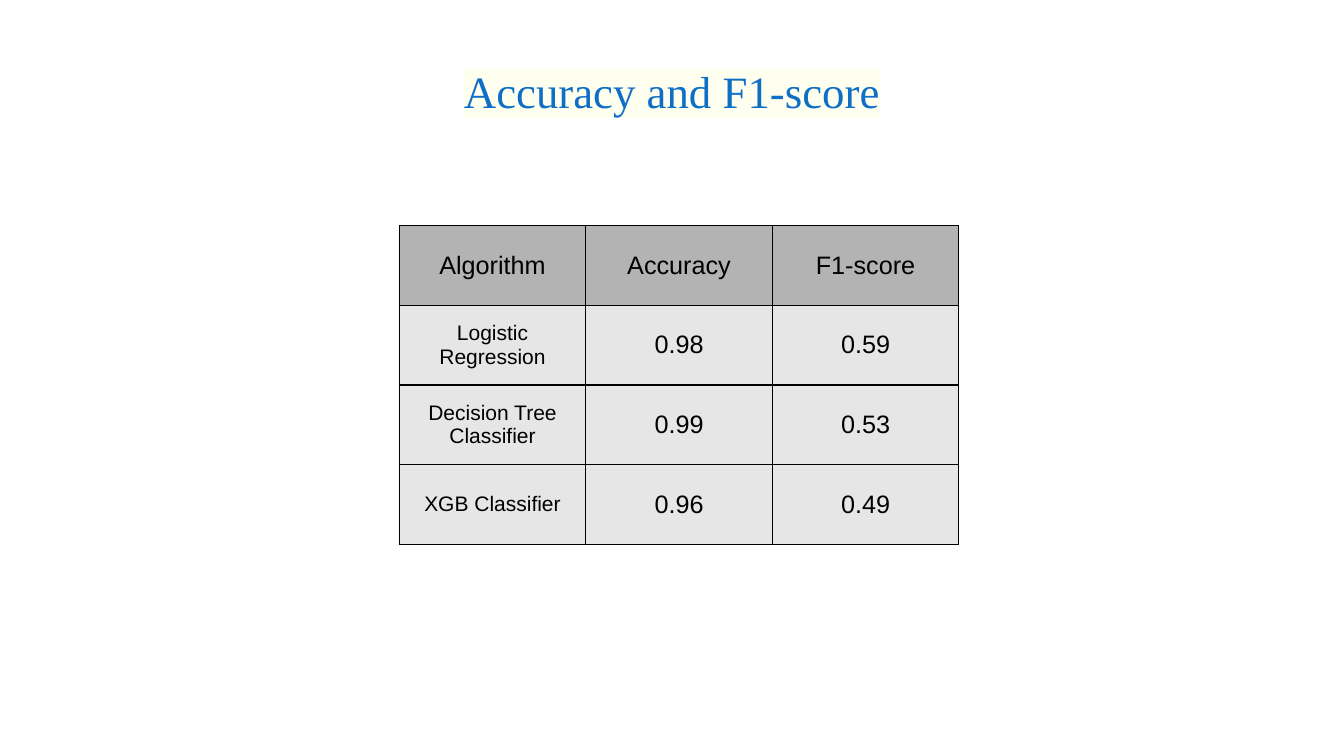
from lxml.etree import SubElement
from pptx import Presentation
from pptx.dml.color import RGBColor
from pptx.enum.text import MSO_ANCHOR as Anchor, PP_ALIGN as Align
from pptx.oxml import parse_xml
from pptx.oxml.ns import nsdecls, qn
from pptx.util import Inches, Pt

# Content
TITLE = "Accuracy and F1-score"
SCORES = [
    ("Algorithm", "Accuracy", "F1-score"),
    ("Logistic Regression", "0.98", "0.59"),
    ("Decision Tree Classifier", "0.99", "0.53"),
    ("XGB Classifier", "0.96", "0.49"),
]

# Colours
BLACK = RGBColor(0x00, 0x00, 0x00)
TITLE_BLUE = RGBColor(0x0F, 0x6F, 0xC6)
IVORY = RGBColor(0xFF, 0xFF, 0xF0)
HEADER_GREY = RGBColor(0xB3, 0xB3, 0xB3)
BODY_GREY = RGBColor(0xE6, 0xE6, 0xE6)

# Grid, in inches
SLIDE_W, SLIDE_H = 13.33, 7.5
TITLE_TOP, TITLE_W, TITLE_H = 0.68, 12, 0.5
TABLE_LEFT, TABLE_TOP = 3.96, 2.24
COL_W, ROW_H = 1.85, 0.79


def style(paragraph, font_name, size, color):
    paragraph.alignment = Align.CENTER
    paragraph.font.name = font_name
    paragraph.font.size = Pt(size)
    paragraph.font.color.rgb = color


def highlight(run, color):
    run.font.color.rgb = TITLE_BLUE
    mark = SubElement(run.font.fill._xPr, qn("a:highlight"))
    SubElement(mark, qn("a:srgbClr"), val=str(color))


def add_borders(cell):
    properties = cell._tc.get_or_add_tcPr()
    for position, side in enumerate("LRTB"):
        properties.insert(position, parse_xml(
            f'<a:ln{side} {nsdecls("a")} w="{Pt(1)}"><a:solidFill>'
            f'<a:srgbClr val="{BLACK}"/></a:solidFill></a:ln{side}>'))


def add_title(slide):
    box = slide.shapes.add_textbox(
        Inches((SLIDE_W - TITLE_W) / 2), Inches(TITLE_TOP),
        Inches(TITLE_W), Inches(TITLE_H))
    frame = box.text_frame
    frame.word_wrap = True
    frame.vertical_anchor = Anchor.MIDDLE
    frame.margin_left = frame.margin_right = 0
    frame.margin_top = frame.margin_bottom = 0
    heading = frame.paragraphs[0]
    heading.text = TITLE
    heading.line_spacing = 0.9
    style(heading, "Times New Roman", 32, TITLE_BLUE)
    highlight(heading.runs[0], IVORY)


def add_scores(slide):
    rows, cols = len(SCORES), len(SCORES[0])
    table = slide.shapes.add_table(
        rows, cols, Inches(TABLE_LEFT), Inches(TABLE_TOP),
        Inches(cols * COL_W), Inches(rows * ROW_H)).table
    table.first_row = table.horz_banding = False
    for r, entries in enumerate(SCORES):
        for c, entry in enumerate(entries):
            cell = table.cell(r, c)
            cell.text = entry
            cell.vertical_anchor = Anchor.MIDDLE
            cell.fill.solid()
            cell.fill.fore_color.rgb = BODY_GREY if r else HEADER_GREY
            is_algorithm = r > 0 and c == 0
            style(cell.text_frame.paragraphs[0], "Arial",
                  15 if is_algorithm else 18, BLACK)
            add_borders(cell)


def main():
    deck = Presentation()
    deck.slide_width, deck.slide_height = Inches(SLIDE_W), Inches(SLIDE_H)
    slide = deck.slides.add_slide(deck.slide_layouts[6])
    add_scores(slide)
    add_title(slide)
    deck.save("out.pptx")


if __name__ == "__main__":
    main()
